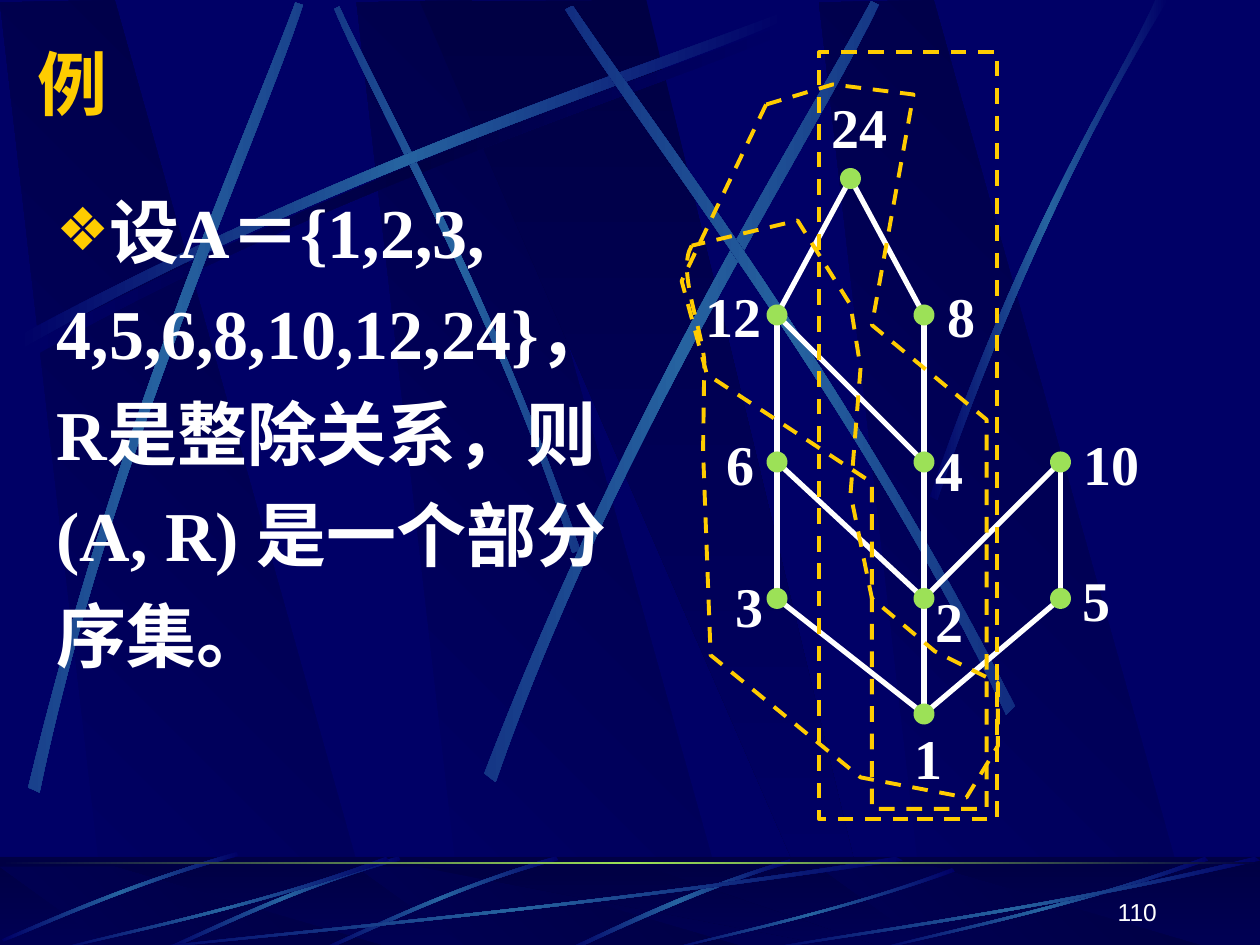
from copy import deepcopy
from math import cos, radians, sin

from lxml.etree import SubElement
from pptx import Presentation
from pptx.dml.color import RGBColor
from pptx.enum.dml import MSO_LINE
from pptx.enum.shapes import MSO_CONNECTOR, MSO_SHAPE
from pptx.enum.text import MSO_ANCHOR, MSO_AUTO_SIZE, PP_ALIGN
from pptx.oxml.ns import qn
from pptx.util import Inches, Pt

NAVY, DARK, STREAK = "000066", "000044", "2663A0"
GREEN, GOLD, WHITE = "9CE157", "FFCC00", "FFFFFF"
SERIF, CJK, SANS = "Times New Roman", "Noto Sans CJK SC", "Arial"
GLOW = (NAVY, STREAK, NAVY)


def color(value):
    return RGBColor.from_string(value)


def turn(points, center, degrees):
    c, s = cos(radians(degrees)), sin(radians(degrees))
    cx, cy = center
    return [(cx + (x - cx) * c - (y - cy) * s, cy + (x - cx) * s + (y - cy) * c)
            for x, y in points]


def twelfths(*values):
    return tuple(value / 12 for value in values)


class SlideArtist:
    def __init__(self, page):
        self.page = page
        self.shapes = page.shapes

    def paint(self, shape, fill=None, angle=0, dashed=False):
        """Fill with one colour, a tuple of gradient colours, or nothing."""
        shape.shadow.inherit = False
        if isinstance(fill, tuple):
            shape.fill.gradient()
            props = shape._element.spPr
            props.find(qn("a:gradFill")).set("rotWithShape", "0")
            stop_list = props.find(".//" + qn("a:gsLst"))
            for _ in fill[2:]:
                stop_list.append(deepcopy(stop_list[0]))
            for index, stop in enumerate(shape.fill.gradient_stops):
                stop.color.rgb = color(fill[index])
                stop.position = index / (len(fill) - 1)
            shape.fill.gradient_angle = (360 - angle) % 360
        elif fill:
            shape.fill.solid()
            shape.fill.fore_color.rgb = color(fill)
        else:
            shape.fill.background()
        if dashed:
            shape.line.color.rgb = color(GOLD)
            shape.line.width = Pt(2.25)
            shape.line.dash_style = MSO_LINE.DASH
        else:
            shape.line.fill.background()
        return shape

    def outline(self, path, fill=None, angle=0, dashed=False, center=None, rotation=0):
        """Draw points and (control, control, end) curves as one closed outline."""
        points = [part[i:i + 2] for part in path for i in range(0, len(part), 2)]
        if rotation:
            points = turn(points, center, -rotation)
        points = [(Inches(x), Inches(y)) for x, y in points]
        builder = self.shapes.build_freeform(*points[0])
        builder.add_line_segments(points[1:], close=True)
        shape = self.paint(builder.convert_to_shape(), fill, angle, dashed)
        shape.rotation = rotation
        segments = iter(list(shape._element.spPr.find(".//" + qn("a:path"))))
        for part in path:
            segment = next(segments)
            if len(part) == 6:
                segment.tag = qn("a:cubicBezTo")
                for _ in range(2):
                    extra = next(segments)
                    segment.append(extra[0])
                    extra.getparent().remove(extra)

    def preset(self, kind, at, fill=None, angle=0, dashed=False):
        shape = self.shapes.add_shape(kind, *map(Inches, at))
        return self.paint(shape, fill, angle, dashed)

    def edge(self, start, end):
        line = self.shapes.add_connector(
            MSO_CONNECTOR.STRAIGHT, *map(Inches, (*start, *end)))
        line.line.color.rgb = color(WHITE)
        line.line.width = Pt(3)
        SubElement(line._element.spPr, qn("a:effectLst"))

    def span(self, para, text, size, font, shade, bold=True):
        span = para.add_run()
        span.text = text
        span.font.size, span.font.bold, span.font.name = Pt(size), bold, font
        span.font.color.rgb = color(shade)
        SubElement(span._r.get_or_add_rPr(), qn("a:ea")).set("typeface", CJK)

    def label(self, text, at):
        frame = self.shapes.add_textbox(*map(Inches, at)).text_frame
        frame.word_wrap = False
        para = frame.paragraphs[0]
        para.line_spacing = 1.2
        self.span(para, text, 32, SERIF, WHITE)

    def number(self, text, at):
        frame = self.shapes.add_textbox(*map(Inches, at)).text_frame
        frame.word_wrap = True
        frame.vertical_anchor = MSO_ANCHOR.BOTTOM
        para = frame.paragraphs[0]
        para.alignment = PP_ALIGN.RIGHT
        self.span(para, text, 14, SANS, WHITE, bold=False)

    def placeholder(self, holder, at, anchor):
        """Place a placeholder above what is drawn so far; return its paragraph."""
        holder.left, holder.top, holder.width, holder.height = map(Inches, at)
        self.shapes._spTree.append(holder._element)
        frame = holder.text_frame
        frame.word_wrap = True
        frame.auto_size = MSO_AUTO_SIZE.NONE
        frame.vertical_anchor = anchor
        para = frame.paragraphs[0]
        para.alignment = PP_ALIGN.LEFT
        para.space_before = Pt(0)
        return para

    def title(self, text, at):
        para = self.placeholder(self.shapes.title, at, MSO_ANCHOR.MIDDLE)
        self.span(para, text, 40, CJK, GOLD)

    def body(self, texts, at):
        para = self.placeholder(self.page.placeholders[1], at, MSO_ANCHOR.TOP)
        para.line_spacing = Pt(57.7)
        props = para._p.get_or_add_pPr()
        props.set("marL", "0")
        props.set("indent", "0")
        SubElement(SubElement(props, qn("a:buClr")), qn("a:srgbClr")).set("val", GOLD)
        SubElement(props, qn("a:buSzPct")).set("val", "85000")
        SubElement(props, qn("a:buChar")).set("char", "❖")
        for text, font in texts:
            self.span(para, text, 40, font, WHITE)

    def move_to_master(self, master):
        """Make everything drawn so far part of the master, behind its placeholders."""
        drawn = [shape for shape in self.shapes if not shape.is_placeholder]
        for index, shape in enumerate(drawn):
            shape._element.nvSpPr.cNvPr.set("id", str(100 + index))
            master.shapes._spTree.insert(2 + index, shape._element)


def draw_wedges(artist, base, slanted):
    for offset in (2.83, 0, 6.5):
        artist.outline([(x + offset, y) for x, y in base], (NAVY, DARK), 315)
    artist.outline(slanted, (DARK, NAVY), 90)


def draw_background(artist):
    draw_wedges(artist, [(0.86, 7.5), (3.02, 7.52), (0.91, 0), (0, 0.02)],
                [(3.33, 0.01), (6.58, 7.5), (6.94, 7.5), (5.13, 0)])
    # Long streaks: path, colours, centre, rotation
    sweep = [(0.14, 2.67), (2.78, 1.25, 5.18, 0.51, 6.2, 0.1), (6.23, 0.16),
             (5.22, 0.61, 2.48, 1.43, 0.17, 2.77)]
    shade = [tuple(v + (0.08 if i % 2 else 0.06) for i, v in enumerate(part))
             for part in sweep]
    streaks = [
        (shade, (NAVY, DARK, NAVY), None, 0),
        ([(4.6, 4.36), (3.91, 2.34, 3.02, 0.77, 2.69, 0.05), (2.65, 0.07),
          (2.95, 0.79, 3.98, 2.58, 4.54, 4.39)], GLOW, (3.62, 2.22), 45),
        (sweep, GLOW, None, 0),
        ([(0.23, 6.25), (0.93, 3.34, 1.97, 1.05, 2.35, 0.02), (2.41, 0.04),
          (2.07, 1.09, 0.86, 3.68, 0.32, 6.29)], GLOW, (1.33, 3.15), 311.7),
        ([(3.85, 6.14), (4.98, 3.2, 6.38, 1.02, 6.92, 0.01), (6.98, 0.04),
          (6.49, 1.08, 4.86, 3.55, 3.94, 6.21)], GLOW, (5.43, 3.1), 321.6),
        ([(8.06, 5.6), (6.7, 2.93, 5.16, 0.95, 4.55, 0.04), (4.49, 0.07),
          (5.07, 1.01, 6.85, 3.25, 7.99, 5.67)], GLOW, (6.27, 2.86), 34.7),
        ([(7.38, 3.94), (8.14, 1.73, 8.88, 0.66, 9.17, 0), (9.27, 0),
          (8.36, 1.45, 7.69, 3.22, 7.44, 3.97)], GLOW, None, 0)]
    for path, fill, center, rotation in streaks:
        artist.outline(path, fill, center=center, rotation=rotation)

    # Floor band
    band = (0, 6.8, 10, 0.7)
    artist.preset(MSO_SHAPE.RECTANGLE, band, (DARK, NAVY), 90)
    draw_wedges(artist, [(0.86, 7.5), (3.02, 7.5), (0.91, 6.88), (0, 6.88)],
                [(3.33, 6.88), (6.58, 7.5), (6.94, 7.5), (5.13, 6.88)])
    veil = artist.preset(MSO_SHAPE.RECTANGLE, band, DARK)
    tint = veil._element.spPr.find(qn("a:solidFill"))[0]
    SubElement(tint, qn("a:alpha")).set("val", "50000")

    # Floor streaks
    artist.outline([(6.27, 6.82), (5.37, 7.09, 4.77, 7.42, 4.48, 7.54), (4.53, 7.55),
                    (4.9, 7.38, 5.71, 7, 6.28, 6.85)], GLOW)
    for x, y, drop in ((2.56, 6.8, 0.73), (1.31, 6.8, 0.73), (0.01, 6.76, 0.69)):
        artist.outline([(x + 1.86, y),
                        (x + 0.99, y + 0.25, x + 0.31, y + drop - 0.13, x, y + drop),
                        (x + 0.01, y + drop + 0.02),
                        (x + 0.32, y + drop - 0.1, x + 1.09, y + 0.23, x + 1.88, y + 0.03)],
                       GLOW, center=(x + 0.94, y + 0.37), rotation=315)
    for x, y, w, h in ((1, 6.8, 6.17, 0.75), (0.42, 6.8, 2.67, 0.75), (5.27, 6.89, 2.31, 0.66),
                       (6.92, 6.8, 2.67, 0.75), (6, 6.8, 4, 0.75)):
        unit = [(1, 0.04), (0.57, 0.57, 0.17, 0.85, 0, 1), (0, 0.99),
                (0.17, 0.81, 0.62, 0.51, 0.99, 0)]
        artist.outline([tuple(y + v * h if i % 2 else x + v * w for i, v in enumerate(part))
                        for part in unit], GLOW)
    artist.preset(MSO_SHAPE.RECTANGLE, (0, 6.84, 10, 0.02), (DARK, GREEN, DARK))


def draw_hasse_diagram(artist):
    # Number: node centre in twelfths of an inch, label corner in inches
    nodes = {24: ((81, 17), (6.5, 0.58)), 12: ((74, 30), (5.5, 2.08)),
             8: ((88, 30), (7.42, 2.08)), 6: ((74, 44), (5.67, 3.25)),
             4: ((88, 44), (7.33, 3.3)), 10: ((101, 44), (8.5, 3.25)),
             3: ((74, 57), (5.74, 4.38)), 2: ((88, 57), (7.33, 4.5)),
             5: ((101, 57), (8.49, 4.33)), 1: ((88, 68), (7.16, 5.59))}
    edges = ((12, 4), (10, 2), (6, 2), (24, 8), (24, 12), (10, 5), (8, 1),
             (5, 1), (1, 3), (12, 3))
    for start, end in edges:
        artist.edge(twelfths(*nodes[start][0]), twelfths(*nodes[end][0]))
    for value, ((x, y), corner) in nodes.items():
        artist.preset(MSO_SHAPE.OVAL, twelfths(x - 1, y - 1, 2, 2), GREEN)
        artist.label(str(value), (*corner, 0.65 if value > 9 else 0.42, 0.74))

    # Dashed subset boundaries
    artist.preset(MSO_SHAPE.RECTANGLE, twelfths(78, 5, 17, 73), dashed=True)
    artist.outline([(5.49, 1.95), (5.37, 2.14, 5.57, 2.6, 5.59, 2.87), (5.58, 3.58),
                    (5.64, 5.2), (6.83, 6.17), (7.67, 6.33), (7.92, 5.92), (7.92, 5.42),
                    (7.42, 5.17), (6.92, 4.75), (6.75, 3.92), (6.83, 2.92), (6.75, 2.42),
                    (6.33, 1.75)], dashed=True)
    artist.outline([(6.08, 0.83), (5.41, 2.23), (5.61, 2.97), (6.92, 3.83), (6.92, 6.42),
                    (7.83, 6.42), (7.83, 3.33), (6.92, 2.58), (7.25, 0.75), (6.61, 0.67)],
                   dashed=True)


def main():
    deck = Presentation()
    deck.slide_width, deck.slide_height = Inches(10), Inches(7.5)
    page = deck.slides.add_slide(deck.slide_layouts[1])
    backdrop = deck.slide_master.background.fill
    backdrop.solid()
    backdrop.fore_color.rgb = color(NAVY)
    artist = SlideArtist(page)
    draw_background(artist)
    artist.move_to_master(deck.slide_master)
    artist.body([("设A＝{1,2,3, 4,5,6,8,10,12,24}，R是整除关系，则(A, R) ", SERIF),
                 ("是一个部分序集。", CJK)], (0.35, 1.31, 4.67, 5.67))
    draw_hasse_diagram(artist)
    artist.number("110", (7.2, 6.9, 2.08, 0.5))
    artist.title("例", (0.2, 0.27, 8.5, 0.77))
    deck.save("out.pptx")


if __name__ == "__main__":
    main()
